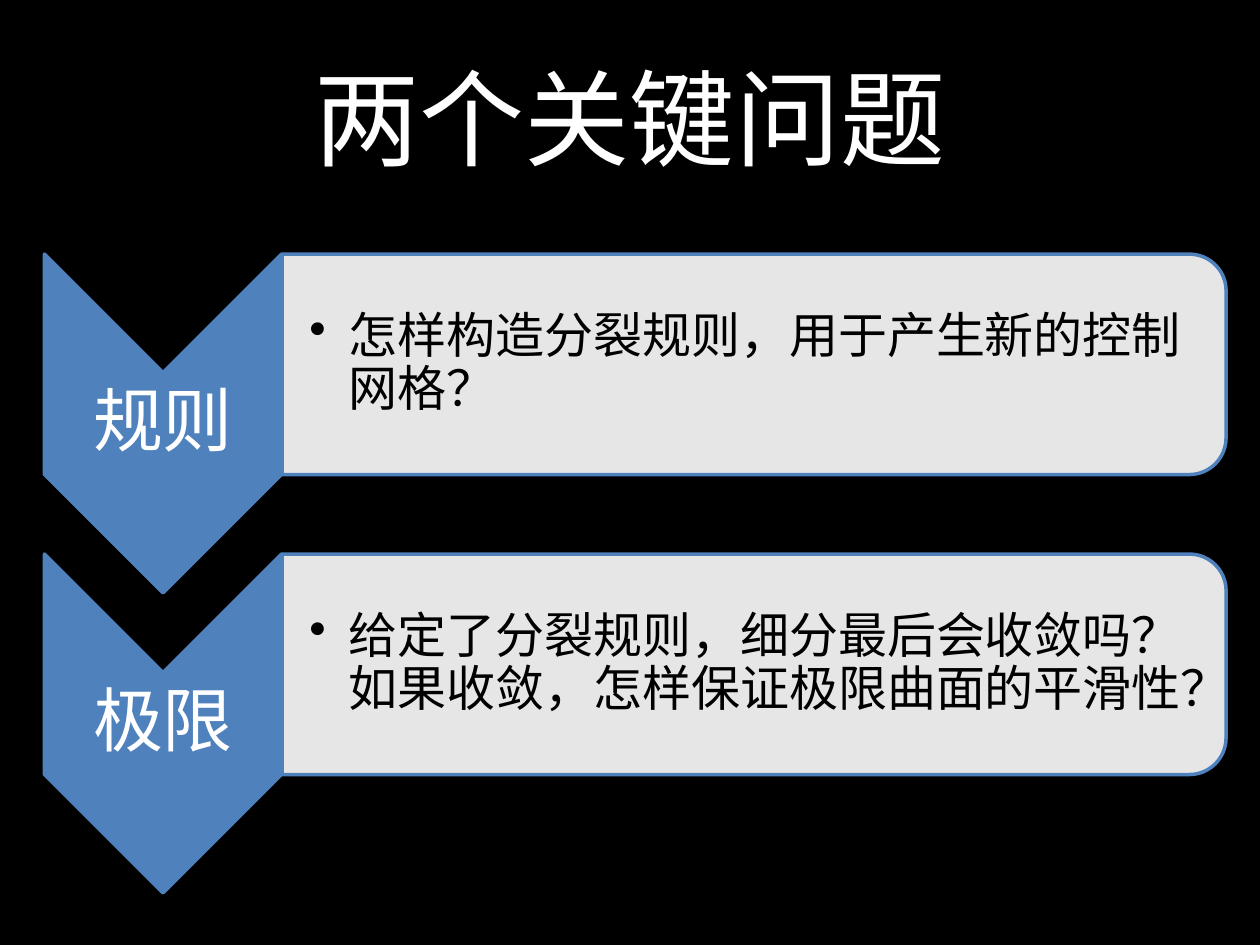
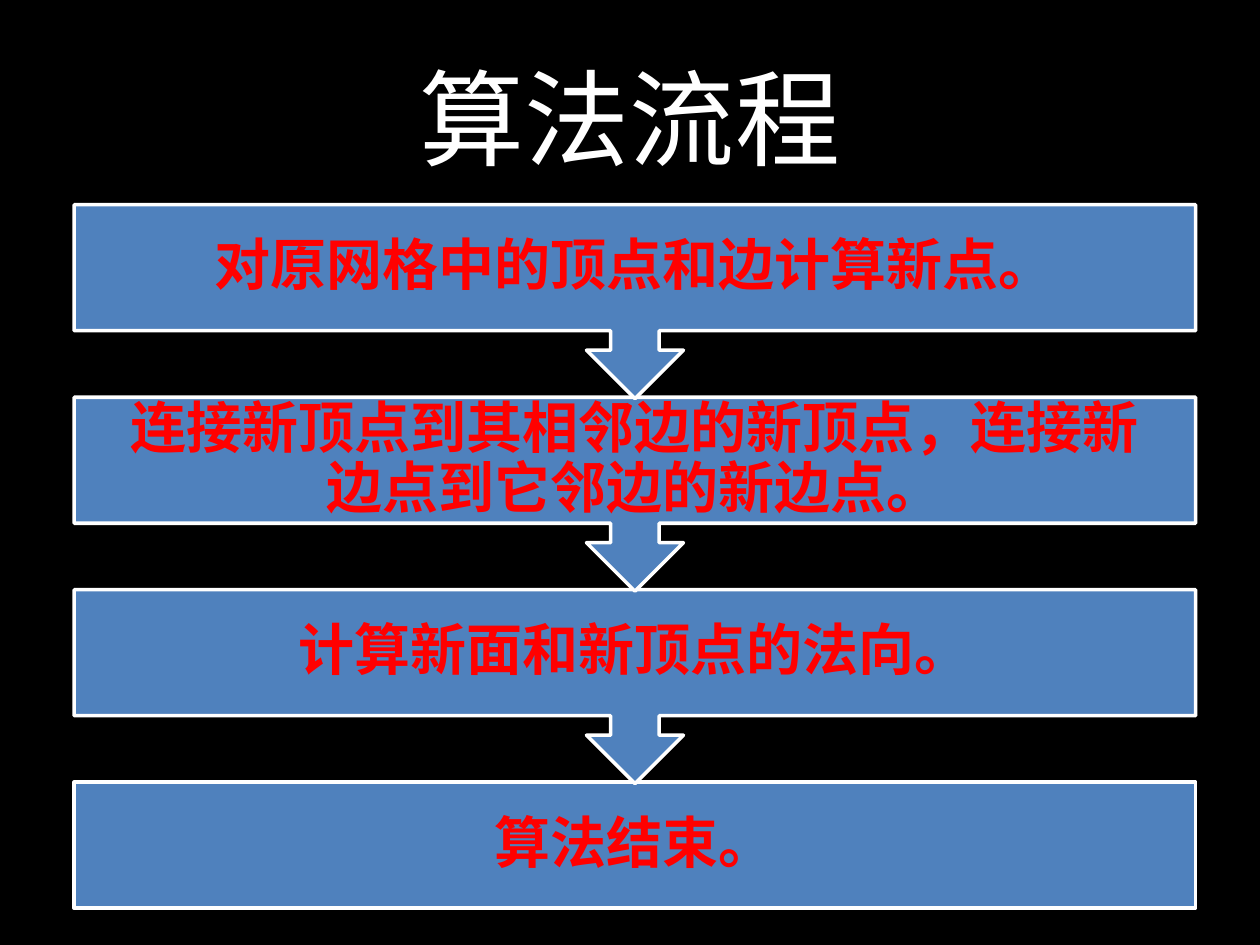
from dataclasses import dataclass
from typing import NamedTuple

from lxml.etree import SubElement
from pptx import Presentation
from pptx.dml.color import RGBColor
from pptx.enum.shapes import MSO_SHAPE as Preset
from pptx.enum.text import MSO_ANCHOR as Anchor, PP_ALIGN as Align
from pptx.oxml.ns import qn
from pptx.slide import Slide
from pptx.util import Pt

FONT = "Noto Sans CJK SC"
BLACK, WHITE, BLUE, RED = "000000", "FFFFFF", "4F81BD", "FF0000"


class Frame(NamedTuple):
    """A visible rectangle, in points."""
    left: float
    top: float
    width: float
    height: float

    def down(self, distance: float) -> "Frame":
        """Return the frame moved downwards."""
        return self._replace(top=self.top + distance)


@dataclass(frozen=True)
class TextStyle:
    """The look of a one-paragraph text; after is a share of the size."""
    size: float
    color: str
    insets: tuple[float, float] = (7.2, 3.6)
    right_inset: float = 7.2
    bold: bool = False
    align: Align = Align.CENTER
    spacing: float = 0.9
    after: float = 0.35
    hanging: float = 0


@dataclass(frozen=True)
class Question:
    """A key question with its short label."""
    label: str
    text: str


TITLE = TextStyle(60, WHITE, spacing=1, after=0)
LABEL = TextStyle(40, WHITE, (2, 2), 2)
DETAIL = TextStyle(28, BLACK, (15.68, 1.4), 1.4, align=Align.LEFT, after=0.15, hanging=22.5)
STEP = TextStyle(32, RED, (18, 18), 18, bold=True)

TITLE_FRAME = Frame(36, 21.6, 648, 90)
CHEVRON = Frame(25.4, 145.2, 135.5, 193.6)
LABEL_FRAME = Frame(25.4, 213, 135.5, 58.3)
PANEL = Frame(161.2, 145.2, 539.4, 126)
DETAIL_FRAME = Frame(161.2, 151.3, 532.8, 113.8)
QUESTION_PITCH = 171.4
STEP_FRAME = Frame(42.4, 117, 640.8, 72)
STEP_PITCH = 110
CALLOUT_HEIGHT = 110.8

QUESTIONS = [
    Question("规则", "怎样构造分裂规则，用于产生新的控制网格？"),
    Question("极限", "给定了分裂规则，细分最后会收敛吗？如果收敛，怎样保证极限曲面的平滑性？"),
]
STEPS = [
    "对原网格中的顶点和边计算新点。",
    "连接新顶点到其相邻边的新顶点，连接新边点到它邻边的新边点。",
    "计算新面和新顶点的法向。",
    "算法结束。",
]


def rgb(value: str) -> RGBColor:
    """Turn a hex string into a colour."""
    return RGBColor.from_string(value)


def add_text(slide: Slide, frame: Frame, text: str, style: TextStyle) -> None:
    """Write one vertically centred paragraph, bulleted if it hangs."""
    body = slide.shapes.add_textbox(*map(Pt, frame)).text_frame
    body.word_wrap = True
    body.vertical_anchor = Anchor.MIDDLE
    side, edge = style.insets
    body.margin_left, body.margin_right = Pt(side), Pt(style.right_inset)
    body.margin_top = body.margin_bottom = Pt(edge)
    paragraph = body.paragraphs[0]
    paragraph.text = text
    paragraph.alignment = style.align
    paragraph.line_spacing = style.spacing
    paragraph.space_after = Pt(style.size * style.after)
    properties = paragraph._p.get_or_add_pPr()
    if style.hanging:
        properties.set("marL", str(Pt(style.hanging)))
        properties.set("indent", str(-Pt(style.hanging)))
        SubElement(properties, qn("a:buChar"), char="•")
    font = paragraph.font
    font.name, font.size, font.bold = FONT, Pt(style.size), style.bold
    font.color.rgb = rgb(style.color)
    SubElement(properties.find(qn("a:defRPr")), qn("a:ea"), typeface=FONT)


def add_block(slide: Slide, preset: Preset, frame: Frame, fill: str, line: str,
              rotation: int = 0, opacity: int = 100) -> None:
    """Draw a preset shape that covers the frame after its rotation."""
    left, top, width, height = frame
    if rotation == 90:
        left, top = left + (width - height) / 2, top + (height - width) / 2
        width, height = height, width
    block = slide.shapes.add_shape(preset, Pt(left), Pt(top), Pt(width), Pt(height))
    block.rotation = rotation
    block.shadow.inherit = False
    block.fill.solid()
    block.fill.fore_color.rgb = rgb(fill)
    if opacity < 100:
        color = block._element.spPr.find(qn("a:solidFill"))[0]
        SubElement(color, qn("a:alpha"), val=str(opacity * 1000))
    block.line.color.rgb = rgb(line)
    block.line.width = Pt(2)


def add_titled_slide(deck: Presentation, title: str) -> Slide:
    """Add a black slide with its title."""
    slide = deck.slides.add_slide(deck.slide_layouts[6])
    slide.background.fill.solid()
    slide.background.fill.fore_color.rgb = rgb(BLACK)
    add_text(slide, TITLE_FRAME, title, TITLE)
    return slide


def build_questions(deck: Presentation) -> None:
    """Build the slide of the key questions."""
    slide = add_titled_slide(deck, "两个关键问题")
    for index, question in enumerate(QUESTIONS):
        shift = index * QUESTION_PITCH
        add_block(slide, Preset.CHEVRON, CHEVRON.down(shift), BLUE, BLUE, 90)
        add_text(slide, LABEL_FRAME.down(shift), question.label, LABEL)
        add_block(slide, Preset.ROUND_2_SAME_RECTANGLE, PANEL.down(shift), WHITE, BLUE, 90, 90)
        add_text(slide, DETAIL_FRAME.down(shift), question.text, DETAIL)


def build_steps(deck: Presentation) -> None:
    """Build the slide of the algorithm, from the last step up."""
    slide = add_titled_slide(deck, "算法流程")
    last = len(STEPS) - 1
    for index, step in reversed(list(enumerate(STEPS))):
        frame = STEP_FRAME.down(index * STEP_PITCH)
        if index == last:
            add_block(slide, Preset.RECTANGLE, frame, BLUE, WHITE)
        else:
            callout = frame._replace(height=CALLOUT_HEIGHT)
            add_block(slide, Preset.UP_ARROW_CALLOUT, callout, BLUE, WHITE, 180)
        add_text(slide, frame, step, STEP)


def main() -> None:
    """Build and save the deck."""
    deck = Presentation()
    deck.slide_width, deck.slide_height = Pt(720), Pt(540)
    build_questions(deck)
    build_steps(deck)
    deck.save("out.pptx")


if __name__ == "__main__":
    main()
